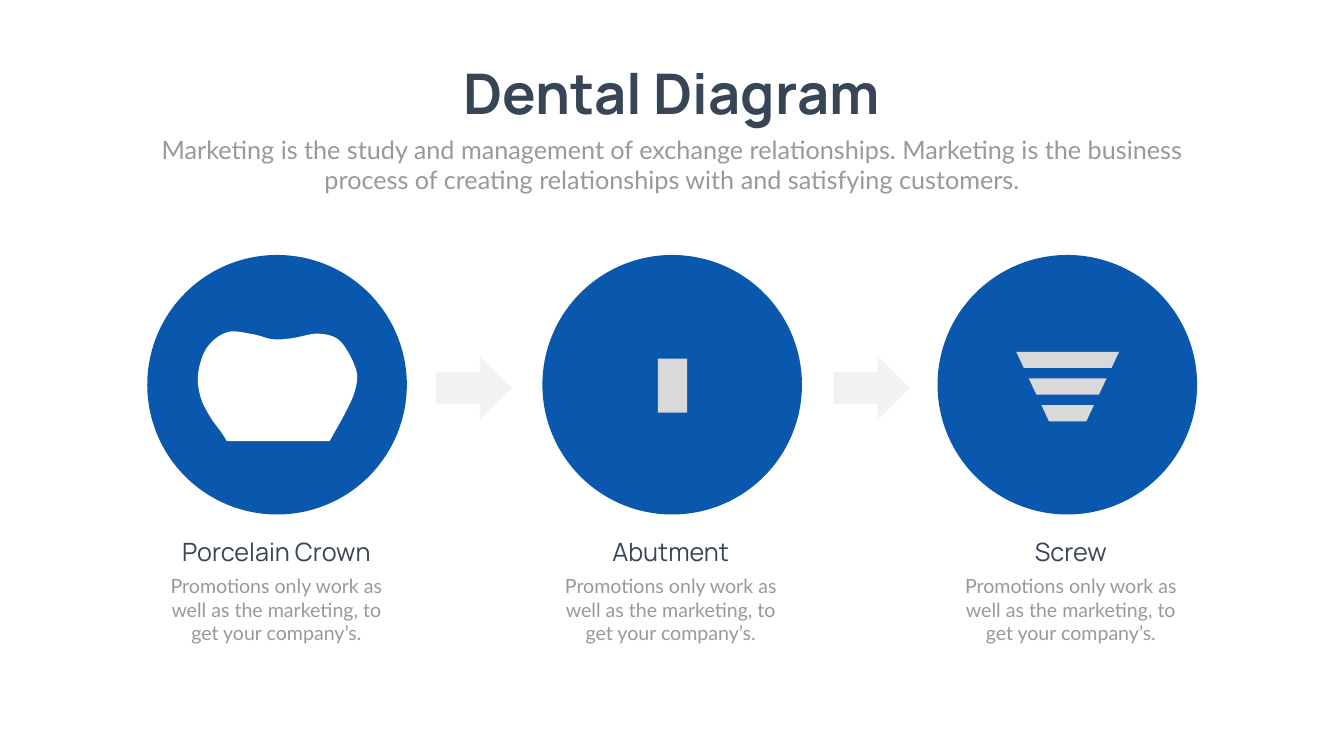
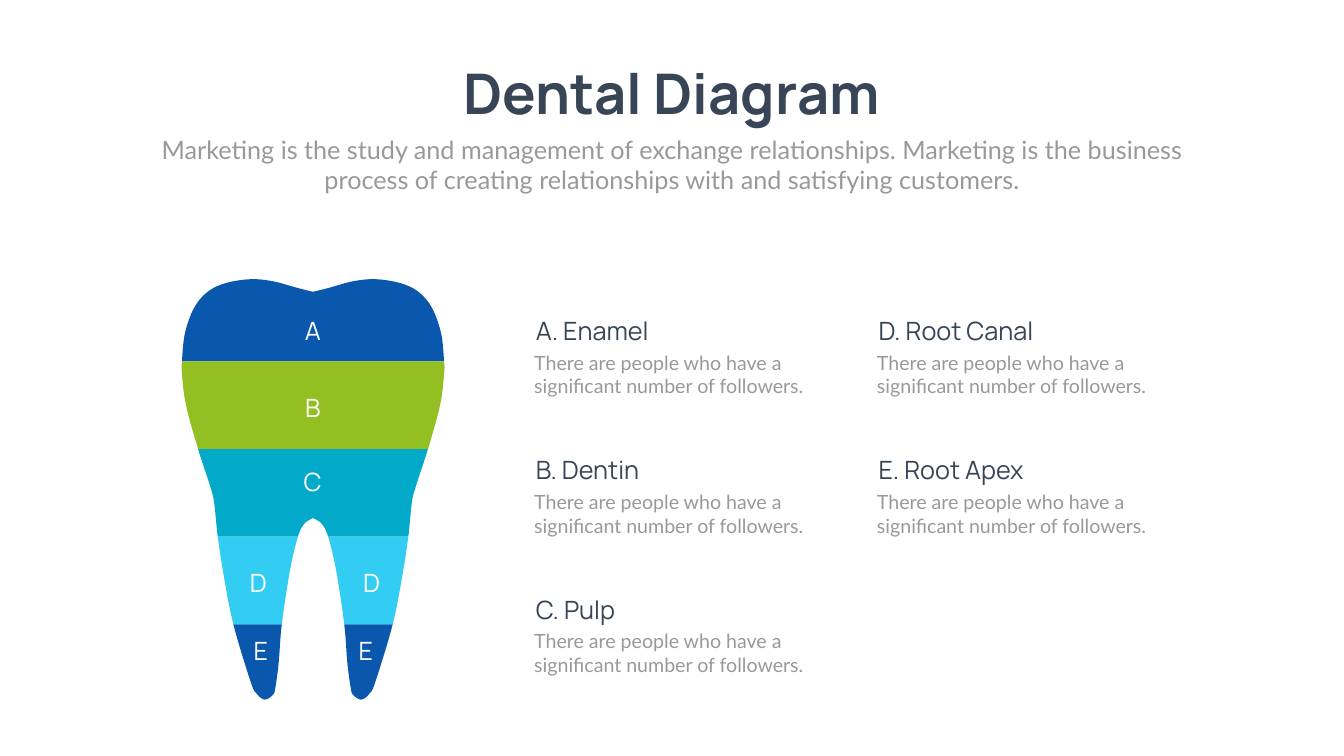
import pptx
import pptx.util
import pptx.dml.color
import pptx.enum.shapes
import pptx.enum.text

Cm = pptx.util.Cm
RGB = pptx.dml.color.RGBColor
Kind = pptx.enum.shapes.MSO_SHAPE
Align = pptx.enum.text.PP_ALIGN
Fit = pptx.enum.text.MSO_AUTO_SIZE

PAPER = RGB(0xFE, 0xFF, 0xFE)
WHITE = RGB(0xFF, 0xFF, 0xFF)
INK = RGB(0x37, 0x45, 0x56)
GREY = RGB(0x99, 0x99, 0x99)
PALE = RGB(0xF2, 0xF2, 0xF2)
STEEL = RGB(0xD9, 0xD9, 0xD9)
BLUE = RGB(0x0A, 0x58, 0xAE)
GREEN = RGB(0x93, 0xBF, 0x22)
TEAL = RGB(0x02, 0xA9, 0xC8)
SKY = RGB(0x33, 0xCD, 0xF3)

HEAD = "Manrope"
BODY = "Lato"
INCH = Cm(2.54)
GRAIN = 1000


def write(slide, words, left, top, width, height, size, font, color,
          align=Align.CENTER, bold=False, wrap=True):
    box = slide.shapes.add_textbox(Cm(left), Cm(top), Cm(width), Cm(height))
    frame = box.text_frame
    frame.word_wrap = wrap
    frame.auto_size = Fit.SHAPE_TO_FIT_TEXT
    para = frame.paragraphs[0]
    para.alignment = align
    run = para.add_run()
    run.text = words
    run.font.size = pptx.util.Pt(size)
    run.font.name = font
    run.font.bold = bold
    run.font.color.rgb = color


def bend(knots, count=8):
    ends = [knots[0], *knots, knots[-1]]
    curve = [knots[0]]
    for a, b, c, d in zip(ends, ends[1:], ends[2:], ends[3:]):
        for step in range(1, count + 1):
            t = step / count
            curve.append(tuple(
                round(q + t / 2 * (r - p + t * (2 * p - 5 * q + 4 * r - s
                                                + t * (3 * q - p - 3 * r + s))), 3)
                for p, q, r, s in zip(a, b, c, d)))
    return curve


deck = pptx.Presentation()
deck.slide_width = Cm(67.72)
deck.slide_height = Cm(38.1)

slides = []
for page in range(2):
    slide = deck.slides.add_slide(deck.slide_layouts[6])
    slide.background.fill.solid()
    slide.background.fill.fore_color.rgb = PAPER
    write(slide, "Dental Diagram", 21.97, 2.84, 23.75, 3.68, 80, HEAD, INK,
          bold=True, wrap=False)
    write(slide, "Marketing is the study and management of exchange relationships. "
          "Marketing is the business process of creating relationships with and "
          "satisfying customers.", 7.42, 6.63, 52.88, 3.33, 36, BODY, GREY)
    slides.append(slide)
steps, tooth = slides

plain = [(Kind.OVAL, 7.42 + 19.91 * col, 12.85, 13.08, 13.08, BLUE) for col in range(3)]
plain += [(Kind.RIGHT_ARROW, 21.97 + 20.02 * col, 17.93, 3.84, 3.25, PALE)
          for col in range(2)]
plain.append((Kind.RECTANGLE, 33.15, 18.08, 1.47, 2.72, STEEL))

filled = []
for kind, left, top, width, height, color in plain:
    shape = steps.shapes.add_shape(kind, Cm(left), Cm(top), Cm(width), Cm(height))
    filled.append((shape, color))

names = [("Porcelain Crown", 7.59), ("Abutment", 27.46), ("Screw", 47.62)]
for name, left in names:
    write(steps, name, left, 26.92, 12.67, 1.8, 36, HEAD, INK)
    write(steps, "Promotions only work as well as the marketing, to get your company’s.",
          left, 28.8, 12.67, 3.84, 28, BODY, GREY)

left_wall = [(4.5, 8.75), (4.4, 8.59), (4.17, 8.27), (3.98, 7.88), (3.93, 7.41)]
chewing = [(4.11, 6.89), (4.51, 6.59), (5.01, 6.63), (5.41, 6.73), (5.8, 6.71),
           (6.32, 6.62), (6.75, 6.77)]
right_wall = [(7.06, 7.32), (7.05, 7.72), (6.87, 8.15), (6.54, 8.75)]
forms = [(steps, bend(left_wall + chewing + right_wall), WHITE)]

AXIS = 21.18
for row in range(3):
    wide = 1.02 - 0.25 * row
    slim = wide - 0.15
    top = 6.98 + 0.53 * row
    low = top + 0.32
    thread = [(AXIS - wide, top), (AXIS + wide, top), (AXIS + slim, low), (AXIS - slim, low)]
    forms.append((steps, thread, STEEL))

MIDDLE = 6.21
CUT = 7.17
DEPTH = 1.74
cusp = [(0, 5.79), (0.32, 5.71), (0.8, 5.58), (1.25, 5.54), (1.74, 5.62),
        (2.09, 5.79), (2.36, 6.11), (2.54, 6.61)]
flank = [(2.6, 7.17), (2.6, 7.42), (2.52, 8.04), (2.28, 8.91), (2.04, 9.65),
         (1.96, 9.98), (1.89, 10.65), (1.76, 11.49), (1.58, 12.39)]
tip = [(1.24, 13.52), (1.12, 13.76), (0.96, 13.88), (0.8, 13.79), (0.75, 13.66)]
fork = [(0.68, 13.14), (0.62, 12.39), (0.46, 11.33), (0.3, 10.65), (0.17, 10.39),
        (0, 10.28)]
half = bend(cusp + flank + tip + fork)

bands = [("A", BLUE, 15.77, [15.76]), ("B", GREEN, 19.63, [15.76]),
         ("C", TEAL, 23.39, [15.76]), ("D", SKY, 28.47, [13.02, 18.73]),
         ("E", BLUE, 31.9, [13.14, 18.43])]
for i, (mark, color, top, centers) in enumerate(bands):
    upper = round(CUT + DEPTH * (i - 1), 2)
    lower = round(CUT + DEPTH * i, 2)
    slab = [(x, y) for x, y in half if upper <= y <= lower]
    left_side = [(MIDDLE - x, y) for x, y in slab]
    right_side = [(MIDDLE + x, y) for x, y in reversed(slab)]
    if len(centers) == 1:
        forms.append((tooth, left_side + right_side, color))
    else:
        forms += [(tooth, side, color) for side in (left_side, right_side)]

for slide, points, color in forms:
    dots = [(x * GRAIN, y * GRAIN) for x, y in points]
    pen = slide.shapes.build_freeform(*dots[0], scale=INCH / GRAIN)
    pen.add_line_segments(dots[1:], close=True)
    filled.append((pen.convert_to_shape(), color))

for shape, color in filled:
    shape.shadow.inherit = False
    shape.fill.solid()
    shape.fill.fore_color.rgb = color
    shape.line.fill.background()

for mark, color, top, centers in bands:
    for center in centers:
        write(tooth, mark, center - 2.5, top, 5, 1.8, 36, HEAD, WHITE)

parts = ["Enamel", "Dentin", "Pulp", "Root Canal", "Root Apex"]
for i, part in enumerate(parts):
    col, row = divmod(i, 3)
    left = 26.67 + 17.27 * col
    top = 15.77 + 7.02 * row
    write(tooth, f"{bands[i][0]}. {part}", left + 0.08, top, 13.59, 1.8, 36, HEAD, INK,
          Align.LEFT)
    write(tooth, "There are people who have a significant number of followers.",
          left, top + 1.78, 14.6, 2.64, 28, BODY, GREY, Align.LEFT)

deck.save("out.pptx")
